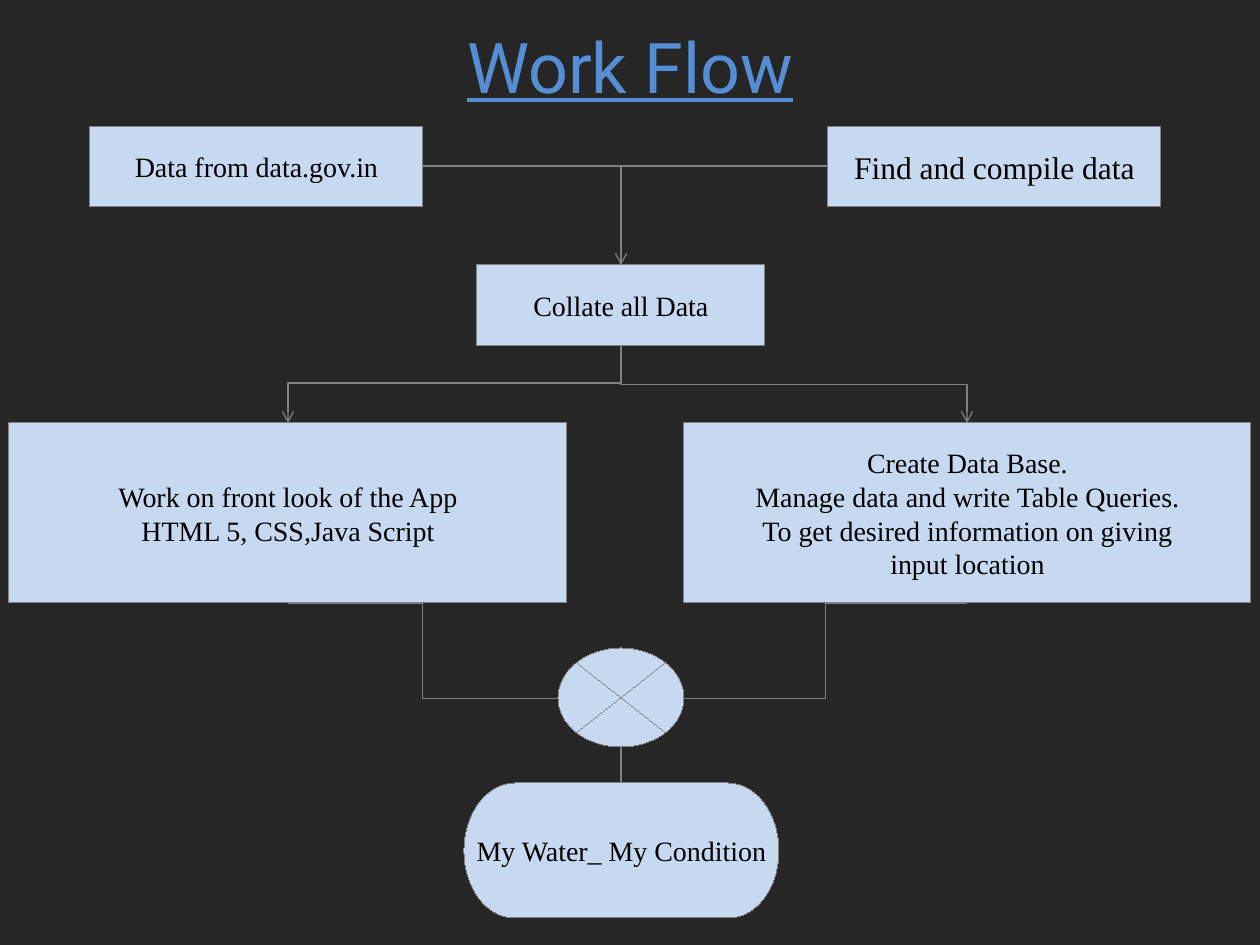
from lxml import etree
from pptx import Presentation
from pptx.dml.color import RGBColor
from pptx.enum.shapes import MSO_CONNECTOR, MSO_SHAPE
from pptx.enum.text import MSO_ANCHOR, PP_ALIGN
from pptx.oxml.ns import qn
from pptx.util import Pt

RECT, JUNCTION = MSO_SHAPE.RECTANGLE, MSO_SHAPE.FLOWCHART_SUMMING_JUNCTION
TERMINATOR = MSO_SHAPE.FLOWCHART_TERMINATOR
STRAIGHT, ELBOW = MSO_CONNECTOR.STRAIGHT, MSO_CONNECTOR.ELBOW
MIDDLE, CENTER = MSO_ANCHOR.MIDDLE, PP_ALIGN.CENTER

EMU_PER_PX = 914400 / 126
SLIDE_W, SLIDE_H = 1260, 945
BACKGROUND, BOX_FILL, LINE = "262626", "C6D9F1", "808080"
HAIRLINE, THIN = 0.01, 0.75

TITLE = "Work Flow"
TITLE_BOX = (63, -14, 1134, 158)
TITLE_FONT = {"name": "Roboto", "size": Pt(40), "underline": True}
MARGINS = {"margin_left": 11, "margin_right": 11, "margin_top": 5, "margin_bottom": 5}

# shape, (left, top, width, height), text size, lines
STEPS = [
    (RECT, (477, 265, 288, 81), 16, ["Collate all Data"]),
    (RECT, (90, 126, 333, 81), 16, ["Data from data.gov.in"]),
    (RECT, (828, 126, 333, 81), 18, ["Find and compile data"]),
    (RECT, (9, 423, 558, 180), 16,
     ["Work on front look of the App", "HTML 5, CSS,Java Script"]),
    (RECT, (684, 423, 567, 180), 16,
     ["Create Data Base.", "Manage data and write Table Queries.",
      "To get desired information on giving", "input location"]),
    (JUNCTION, (558, 648, 126, 99), 16, []),
    (TERMINATOR, (464, 783, 315, 135), 16, ["My Water_ My Condition"]),
]

# route, start, end, line width, arrowhead
LINKS = [
    ("step", (288, 603), (558, 698), HAIRLINE, False),
    ("step", (967, 603), (684, 698), HAIRLINE, False),
    ("straight", (621, 747), (621, 783), THIN, False),
    ("corner", (423, 166), (621, 265), THIN, True),
    ("corner", (828, 166), (621, 265), THIN, False),
    ("drop", (621, 346), (967, 423), THIN, True),
    ("corner", (621, 383), (288, 423), THIN, True),
]


def px(*values):
    return [round(v * EMU_PER_PX) for v in values]


def rgb(color):
    return RGBColor.from_string(color)


def write(tf, lines, font, color):
    tf.vertical_anchor = MIDDLE
    for i, line in enumerate(lines):
        p = tf.paragraphs[0] if i == 0 else tf.add_paragraph()
        p.alignment = CENTER
        r = p.add_run()
        r.text = line
        for key, value in font.items():
            setattr(r.font, key, value)
        r.font.color.rgb = rgb(color)


def add_step(kind, box, size, lines):
    s = shapes.add_shape(kind, *px(*box))
    s.shadow.inherit = False
    s.fill.solid()
    s.fill.fore_color.rgb = rgb(BOX_FILL)
    s.line.color.rgb = rgb(LINE)
    s.line.width = Pt(HAIRLINE)
    tf = s.text_frame
    tf.word_wrap = False
    for side, value in MARGINS.items():
        setattr(tf, side, px(value)[0])
    write(tf, lines, {"name": "Times New Roman", "size": Pt(size)}, "000000")


def add_link(route, start, end, width, arrow):
    (x1, y1), (x2, y2) = start, end
    if route == "drop":  # leaves downwards: a step turned by 270 degrees
        cx, cy = (x1 + x2) / 2, (y1 + y2) / 2
        half_w, half_h = (y2 - y1) / 2, (x2 - x1) / 2
        x1, y1, x2, y2 = cx + half_w, cy - half_h, cx - half_w, cy + half_h
    kind = STRAIGHT if route == "straight" else ELBOW
    c = shapes.add_connector(kind, *px(x1, y1, x2, y2))
    c.line.color.rgb = rgb(LINE)
    c.line.width = Pt(width)
    spPr = c._element.spPr
    if route == "drop":
        spPr.find(qn("a:xfrm")).set("rot", "16200000")
    if route == "corner":
        spPr.find(qn("a:prstGeom")).set("prst", "bentConnector2")
    if arrow:
        etree.SubElement(spPr.find(qn("a:ln")), qn("a:tailEnd"), type="arrow")
    etree.SubElement(spPr, qn("a:effectLst"))


prs = Presentation()
prs.slide_width, prs.slide_height = px(SLIDE_W, SLIDE_H)
slide = prs.slides.add_slide(prs.slide_layouts[6])
shapes = slide.shapes
slide.background.fill.solid()
slide.background.fill.fore_color.rgb = rgb(BACKGROUND)

# Title
title = shapes.add_textbox(*px(*TITLE_BOX))
title.text_frame.word_wrap = True
write(title.text_frame, [TITLE], TITLE_FONT, "558ED5")

# Flow chart
for step in STEPS:
    add_step(*step)
for link in LINKS:
    add_link(*link)

prs.save("out.pptx")
